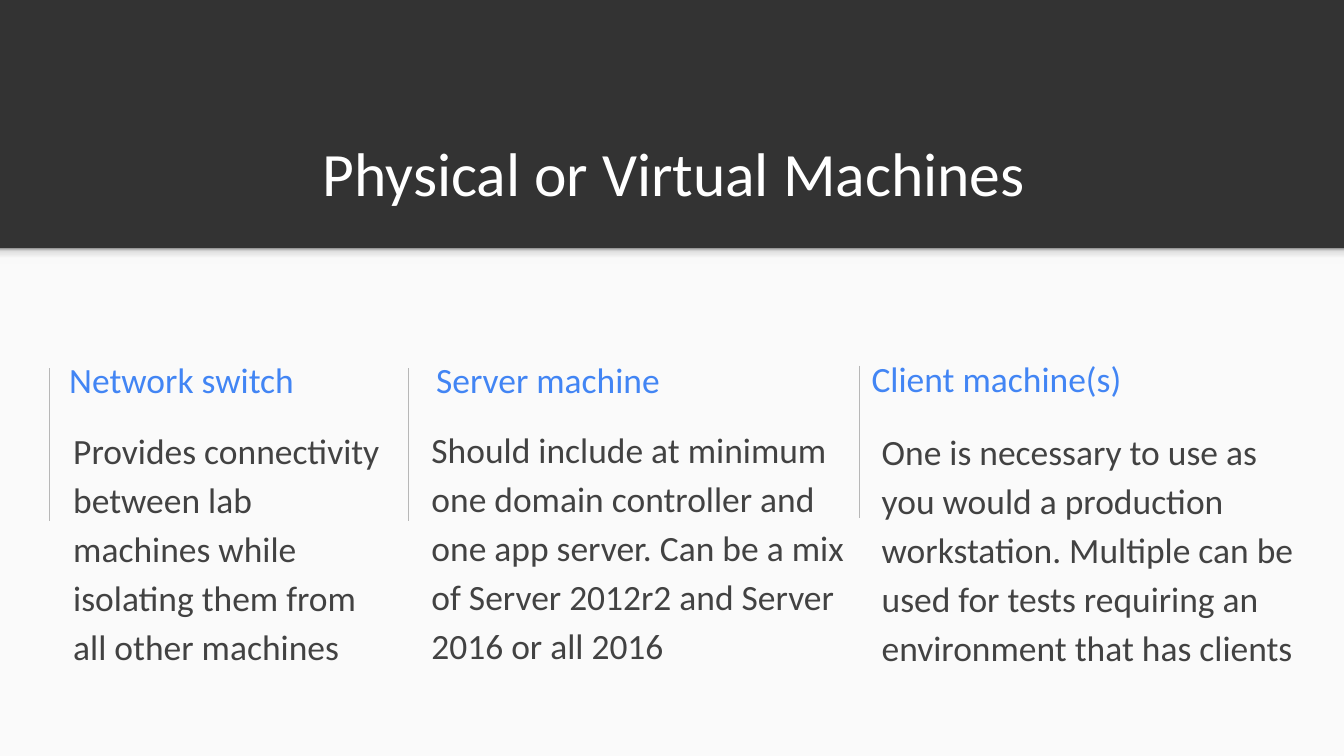
from lxml import etree
from pptx import Presentation
from pptx.dml.color import RGBColor
from pptx.enum.shapes import MSO_CONNECTOR, MSO_SHAPE
from pptx.enum.text import MSO_ANCHOR, MSO_AUTO_SIZE, PP_ALIGN
from pptx.oxml import parse_xml
from pptx.oxml.ns import nsdecls, qn
from pptx.util import Inches, Pt

RECTANGLE = MSO_SHAPE.RECTANGLE
STRAIGHT = MSO_CONNECTOR.STRAIGHT
TOP, MIDDLE, BOTTOM = MSO_ANCHOR.TOP, MSO_ANCHOR.MIDDLE, MSO_ANCHOR.BOTTOM
LEFT, CENTER = PP_ALIGN.LEFT, PP_ALIGN.CENTER
NO_AUTOFIT = MSO_AUTO_SIZE.NONE
TITLE_ONLY = 5

TITLE = "Physical or Virtual Machines"
# Each column: rule (x, top), heading text and place, body text and place.
COLUMNS = [
    {
        "rule": (0.73, 5.48),
        "heading": ("Network switch", (0.83, 5.21, 5.03, 0.86)),
        "body": ("Provides connectivity between lab machines while isolating "
                 "them from all other machines", (0.89, 6.09, 5.06, 2.44)),
    },
    {
        "rule": (6.07, 5.48),
        "heading": ("Server machine", (6.29, 5.21, 5.03, 0.86)),
        "body": ("Should include at minimum one domain controller and one app "
                 "server. Can be a mix of Server 2012r2 and Server 2016 or all "
                 "2016", (6.22, 6.07, 6.55, 2.88)),
    },
    {
        "rule": (12.79, 5.44),
        "heading": ("Client machine(s)", (12.77, 5.2, 5.03, 0.86)),
        "body": ("One is necessary to use as you would a production "
                 "workstation. Multiple can be used for tests requiring an "
                 "environment that has clients", (12.92, 6.1, 6.59, 2.88)),
    },
]

THEME = {
    "font": "Calibri",
    "title_size": 66, "text_size": 38,
    "background": "333333", "panel": "FAFAFA", "title": "FFFFFF",
    "heading": "4285F4", "body": "424242", "rule": "B7B7B7",
    "shade": [(0, "F9F9F9"), (36, "F9F9F9"), (80, "DEDEDE"), (100, "999999")],
}
WIDTH, HEIGHT = 20, 11.245
PANEL_TOP, SHADE_HEIGHT = 3.69, 0.24
RULE_LENGTH = 2.27
INSET = 0.2


def inches(place):
    return [Inches(value) for value in place]


def add_band(slide, place):
    band = slide.shapes.add_shape(RECTANGLE, *inches(place))
    band.shadow.inherit = False
    band.line.fill.background()
    return band


def fill_upward(shape, stops):
    """Fill with a gradient whose first stop is at the bottom."""
    marks = "".join(
        f'<a:gs pos="{position * 1000}"><a:srgbClr val="{color}"/></a:gs>'
        for position, color in stops)
    gradient = parse_xml(
        f'<a:gradFill {nsdecls("a")} rotWithShape="1"><a:gsLst>{marks}</a:gsLst>'
        '<a:lin ang="16200000" scaled="0"/></a:gradFill>')
    shape.fill.background()
    properties = shape._element.spPr
    properties.replace(properties.find(qn("a:noFill")), gradient)


def write_text(shape, text, size, color, anchor, align=LEFT):
    frame = shape.text_frame
    frame.word_wrap = True
    frame.auto_size = NO_AUTOFIT
    frame.vertical_anchor = anchor
    frame.margin_left = frame.margin_right = Inches(INSET)
    frame.margin_top = frame.margin_bottom = Inches(INSET)
    para = frame.paragraphs[0]
    para.alignment = align
    span = para.add_run()
    span.text = text
    span.font.name = THEME["font"]
    span.font.size = Pt(size)
    span.font.color.rgb = RGBColor.from_string(color)
    return para


def add_rule(slide, x, top):
    rule = slide.shapes.add_connector(
        STRAIGHT, *inches((x, top, x, top + RULE_LENGTH)))
    rule.line.color.rgb = RGBColor.from_string(THEME["rule"])
    rule.line.width = Pt(0.75)
    etree.SubElement(rule._element.spPr, qn("a:effectLst"))


def add_column(slide, column):
    add_rule(slide, *column["rule"])
    for part, anchor in (("heading", MIDDLE), ("body", TOP)):
        text, place = column[part]
        box = slide.shapes.add_textbox(*inches(place))
        para = write_text(box, text, THEME["text_size"], THEME[part], anchor)
        if part == "body":
            para.line_spacing = 1.15
            para.space_after = Pt(32)


def main():
    deck = Presentation()
    deck.slide_width, deck.slide_height = inches((WIDTH, HEIGHT))
    slide = deck.slides.add_slide(deck.slide_layouts[TITLE_ONLY])
    background = slide.background.fill
    background.solid()
    background.fore_color.rgb = RGBColor.from_string(THEME["background"])

    panel = add_band(slide, (0, PANEL_TOP, WIDTH, HEIGHT - PANEL_TOP))
    panel.fill.solid()
    panel.fill.fore_color.rgb = RGBColor.from_string(THEME["panel"])
    shade = add_band(slide, (0, PANEL_TOP, WIDTH, SHADE_HEIGHT))
    fill_upward(shade, THEME["shade"])

    title = slide.shapes.title
    title.left, title.top, title.width, title.height = inches(
        (1.04, 1.62, 17.98, 1.68))
    write_text(title, TITLE, THEME["title_size"], THEME["title"], BOTTOM, CENTER)

    for column in COLUMNS:
        add_column(slide, column)
    deck.save("out.pptx")


if __name__ == "__main__":
    main()
